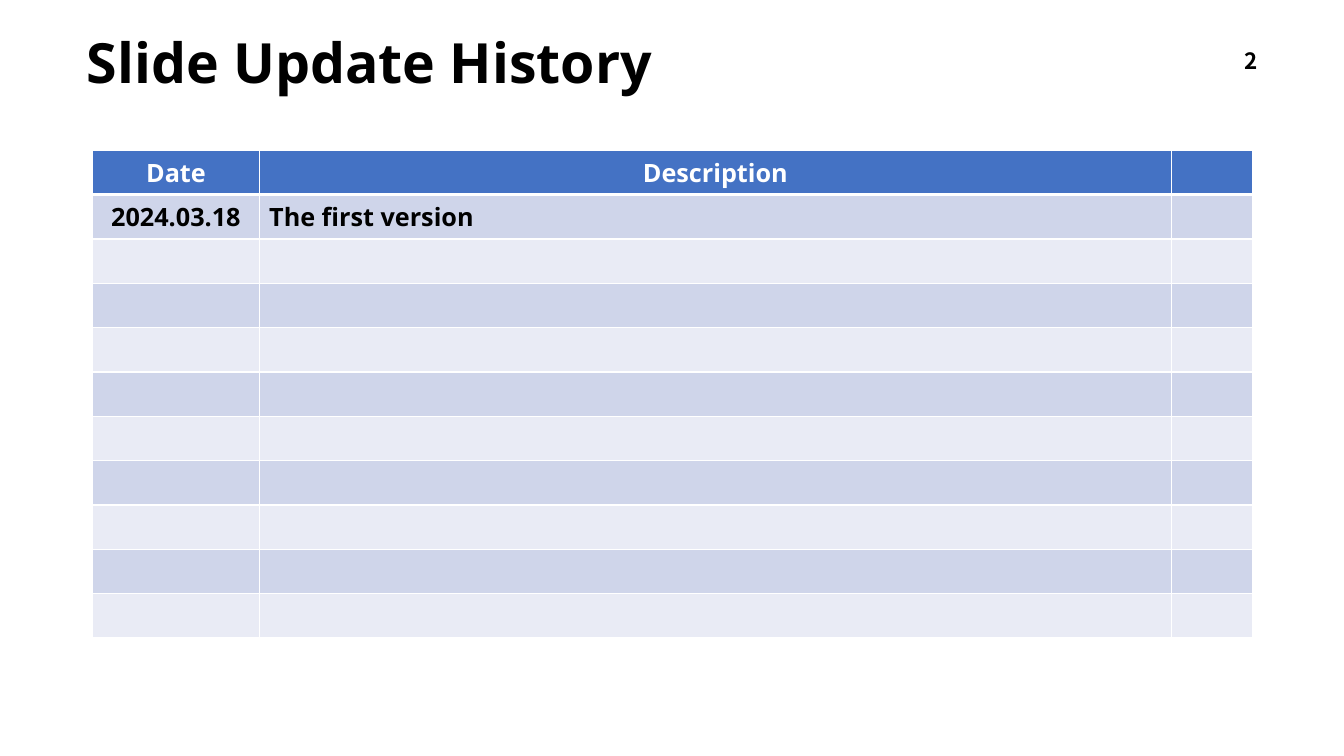
import pptx
import pptx.dml.color
import pptx.enum.text
import pptx.oxml
import pptx.oxml.ns
import pptx.util
from pptx.util import Inches

ALIGN = pptx.enum.text.PP_ALIGN
MIDDLE = pptx.enum.text.MSO_ANCHOR.MIDDLE
COLUMN_WIDTHS = (1.65, 9.05, 0.8)
ROW_COUNT = 11
ROW_HEIGHT = 0.44
HISTORY = [("Date", "Description", ""), ("2024.03.18", "The first version", "")]


def color(hex_string):
    return pptx.dml.color.RGBColor.from_string(hex_string)


def write(text_frame, text, size, align, font="Open Sans", hex_color="000000"):
    text_frame.text = text
    paragraph = text_frame.paragraphs[0]
    paragraph.alignment = align
    for run in paragraph.runs:
        run.font.name = font
        run.font.size = pptx.util.Pt(size)
        run.font.bold = True
        run.font.color.rgb = color(hex_color)


def set_border(cell, side, points, hex_color="FFFFFF"):
    properties = cell._tc.get_or_add_tcPr()
    properties.append(pptx.oxml.parse_xml(
        f'<a:{side} {pptx.oxml.ns.nsdecls("a")} w="{pptx.util.Pt(points)}">'
        f'<a:solidFill><a:srgbClr val="{hex_color}"/></a:solidFill></a:{side}>'))


def add_title(slide, left, top, width, height):
    title = slide.shapes.title
    title.left, title.top = Inches(left), Inches(top)
    title.width, title.height = Inches(width), Inches(height)
    title.text_frame.vertical_anchor = MIDDLE
    write(title.text_frame, "Slide Update History", 39.6, ALIGN.LEFT)
    title.text_frame.paragraphs[0].line_spacing = 0.9


def add_page_number(slide, left, top, width, height):
    box = slide.shapes.add_textbox(
        Inches(left), Inches(top), Inches(width), Inches(height))
    box.text_frame.word_wrap = True
    box.text_frame.vertical_anchor = MIDDLE
    write(box.text_frame, "2", 16, ALIGN.RIGHT, font="Noto Sans CJK KR")


def add_history_table(slide, left, top):
    table = slide.shapes.add_table(
        ROW_COUNT, len(COLUMN_WIDTHS), Inches(left), Inches(top),
        Inches(sum(COLUMN_WIDTHS)), Inches(ROW_COUNT * ROW_HEIGHT)).table
    for column, width in zip(table.columns, COLUMN_WIDTHS):
        column.width = Inches(width)

    # Header fill, then alternating bands; a thick rule under the header
    for row_index, row in enumerate(table.rows):
        row.height = Inches(ROW_HEIGHT)
        is_header = row_index == 0
        fill = "4472C4" if is_header else ("E9EBF5", "CFD5EA")[row_index % 2]
        for cell in row.cells:
            for side in ("lnL", "lnR", "lnT", "lnB"):
                thick = (is_header and side == "lnB") or (row_index == 1 and side == "lnT")
                set_border(cell, side, 3 if thick else 1)
            cell.fill.solid()
            cell.fill.fore_color.rgb = color(fill)

    # Entries
    for row_index, entry in enumerate(HISTORY):
        for column_index, text in enumerate(entry):
            centered = row_index == 0 or column_index == 0
            write(table.cell(row_index, column_index).text_frame, text, 18,
                  ALIGN.CENTER if centered else ALIGN.LEFT,
                  hex_color="FFFFFF" if row_index == 0 else "000000")


def main():
    presentation = pptx.Presentation()
    presentation.slide_width = Inches(13.33)
    presentation.slide_height = Inches(7.5)
    slide = presentation.slides.add_slide(presentation.slide_layouts[5])
    add_history_table(slide, 0.92, 1.49)
    add_page_number(slide, 9.57, 0.4, 3, 0.4)
    add_title(slide, 0.76, 0.4, 11.61, 0.5)
    presentation.save("out.pptx")


if __name__ == "__main__":
    main()
